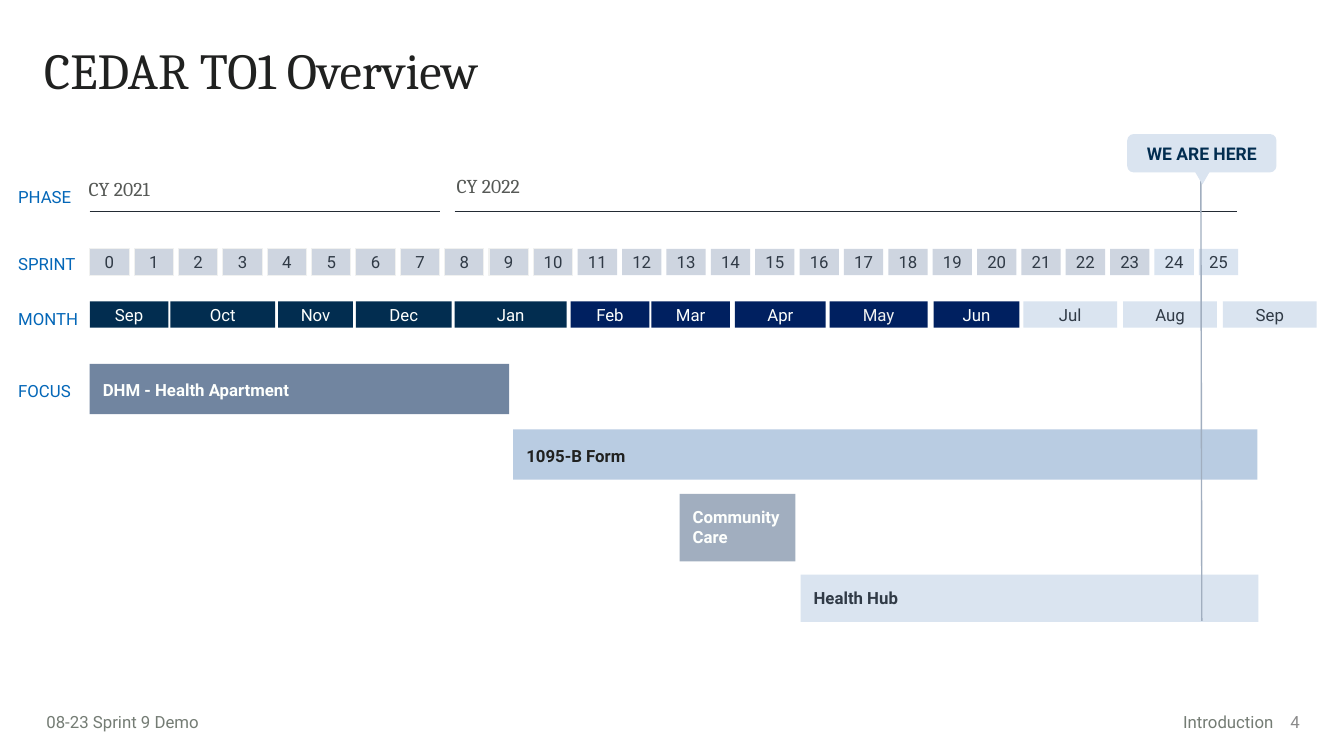
from lxml import etree
from pptx import Presentation
from pptx.dml.color import RGBColor
from pptx.enum import shapes, text
from pptx.oxml import ns
from pptx.util import Inches, Pt

WHITE = RGBColor(0xFD, 0xFF, 0xFD)
BLACK = RGBColor(0x20, 0x21, 0x20)
INK = RGBColor(0x30, 0x3A, 0x46)
RULE = RGBColor(0x23, 0x2B, 0x34)
NAVY = RGBColor(0x02, 0x2D, 0x50)
ROYAL = RGBColor(0x00, 0x20, 0x60)
BLUE = RGBColor(0x04, 0x67, 0xB8)
SLATE = RGBColor(0x71, 0x85, 0xA0)
STEEL = RGBColor(0xA1, 0xAE, 0xBF)
SKY = RGBColor(0xB9, 0xCC, 0xE2)
PALE = RGBColor(0xDA, 0xE4, 0xF0)
MIST = RGBColor(0xCE, 0xD5, 0xE0)
EDGE = RGBColor(0xF0, 0xF1, 0xF0)
GRAY = RGBColor(0x56, 0x59, 0x56)
FOOT = RGBColor(0x74, 0x7C, 0x74)
PAGE = RGBColor(0x8A, 0x8A, 0x8A)

LEFT = text.PP_ALIGN.LEFT
MID = text.PP_ALIGN.CENTER
RIGHT = text.PP_ALIGN.RIGHT
TOP = text.MSO_ANCHOR.TOP
CENTER = text.MSO_ANCHOR.MIDDLE
KIND = shapes.MSO_SHAPE
PAD = (0.1, 0.05, 0.1, 0.05)

MONTHS = [
    ("Sep", 0.89, 0.78, NAVY, WHITE),
    ("Oct", 1.69, 1.04, NAVY, WHITE),
    ("Nov", 2.76, 0.74, NAVY, WHITE),
    ("Dec", 3.53, 0.95, NAVY, WHITE),
    ("Jan", 4.51, 1.11, NAVY, WHITE),
    ("Feb", 5.66, 0.78, ROYAL, WHITE),
    ("Mar", 6.46, 0.78, ROYAL, WHITE),
    ("Apr", 7.29, 0.9, ROYAL, WHITE),
    ("May", 8.23, 0.97, ROYAL, EDGE),
    ("Jun", 9.26, 0.85, ROYAL, WHITE),
    ("Jul", 10.15, 0.93, PALE, INK),
    ("Aug", 11.14, 0.93, PALE, INK),
    ("Sep", 12.13, 0.93, PALE, INK),
]
FOCUS = [
    ("DHM - Health Apartment", (0.89, 3.61, 4.16, 0.5), SLATE, WHITE, 1.15),
    ("1095-B Form", (5.09, 4.26, 7.38, 0.5), SKY, BLACK, 1.15),
    ("Community Care", (6.74, 4.9, 1.15, 0.67), STEEL, WHITE, 1),
    ("Health Hub", (7.94, 5.7, 4.54, 0.47), PALE, INK, 1),
]
LABELS = [("PHASE", 1.85), ("SPRINT", 2.52), ("MONTH", 3.06), ("FOCUS", 3.78)]


def write(shape, words, color, size=12, face="Roboto", bold=False,
          align=LEFT, anchor=TOP, pad=PAD, gap=1):
    frame = shape.text_frame
    frame.word_wrap = True
    frame.vertical_anchor = anchor
    (frame.margin_left, frame.margin_top,
     frame.margin_right, frame.margin_bottom) = map(Inches, pad)
    para = frame.paragraphs[0]
    para.text = words
    para.alignment = align
    para.line_spacing = gap
    font = para.font
    font.name, font.size, font.bold = face, Pt(size), bold
    font.color.rgb = color


def label(slide, words, place, color, **style):
    box = slide.shapes.add_textbox(*map(Inches, place))
    write(box, words, color, **style)


def block(slide, place, fill, kind=KIND.RECTANGLE, edge=None):
    shape = slide.shapes.add_shape(kind, *map(Inches, place))
    shape.shadow.inherit = False
    shape.fill.solid()
    shape.fill.fore_color.rgb = fill
    if edge is None:
        shape.line.fill.background()
    else:
        shape.line.color.rgb = edge
        shape.line.width = Pt(0.75)
    return shape


def cell(slide, words, place, fill, color, edge=None):
    shape = block(slide, place, fill, edge=edge)
    write(shape, words, color, align=MID, pad=(0.03,) * 4)


def rule(slide, ends, color, width):
    line = slide.shapes.add_connector(
        shapes.MSO_CONNECTOR.STRAIGHT, *map(Inches, ends))
    line.line.color.rgb = color
    line.line.width = Pt(width)
    etree.SubElement(line._element.spPr, ns.qn("a:effectLst"))


def phases(slide):
    for words, left, top in (("CY 2021", 0.78, 1.71), ("CY 2022", 4.43, 1.68)):
        label(slide, words, (left, top, 3, 0.34), GRAY, size=14, face="Cambria")
    for start, end in ((0.89, 4.36), (4.51, 12.27)):
        rule(slide, (start, 2.1, end, 2.1), RULE, 0.75)


def sprints(slide):
    for n in range(26):
        cell(slide, str(n), (0.89 + 0.44 * n, 2.47, 0.39, 0.26),
             MIST if n < 24 else PALE, INK, EDGE if n < 11 else None)


def marker(slide):
    rule(slide, (11.91, 1.53, 11.92, 6.16), STEEL, 1)
    flag = block(slide, (11.18, 1.33, 1.48, 0.38), PALE, KIND.ROUNDED_RECTANGLE)
    write(flag, "WE ARE HERE", NAVY, size=12.5, bold=True, align=MID, anchor=CENTER)
    tip = block(slide, (11.85, 1.7, 0.15, 0.13), PALE, KIND.ISOSCELES_TRIANGLE)
    tip.rotation = 180


def footer(slide):
    label(slide, "08-23 Sprint 9 Demo", (0.46, 7.01, 2.98, 0.3), FOOT,
          pad=(0, 0.05, 0.1, 0.05))
    label(slide, "Introduction", (9.75, 7.01, 2.98, 0.3), FOOT, align=RIGHT)
    label(slide, "4", (12.55, 6.96, 0.44, 0.4), PAGE, align=RIGHT, anchor=CENTER)


def main():
    deck = Presentation()
    deck.slide_width, deck.slide_height = Inches(13.33), Inches(7.5)
    slide = deck.slides.add_slide(deck.slide_layouts[6])
    label(slide, "CEDAR TO1 Overview", (0.34, 0.41, 12.42, 0.82), BLACK,
          size=36, face="Cambria", gap=0.9)
    for words, top in LABELS:
        label(slide, words, (0.18, top, 0.78, 0.2), BLUE, pad=(0,) * 4)
    phases(slide)
    sprints(slide)
    for words, left, width, fill, color in MONTHS:
        cell(slide, words, (left, 2.99, width, 0.26), fill, color)
    for words, place, fill, color, gap in FOCUS:
        bar = block(slide, place, fill)
        write(bar, words, color, bold=True, pad=(0.13,) * 4, gap=gap)
    marker(slide)
    footer(slide)
    deck.save("out.pptx")


if __name__ == "__main__":
    main()
